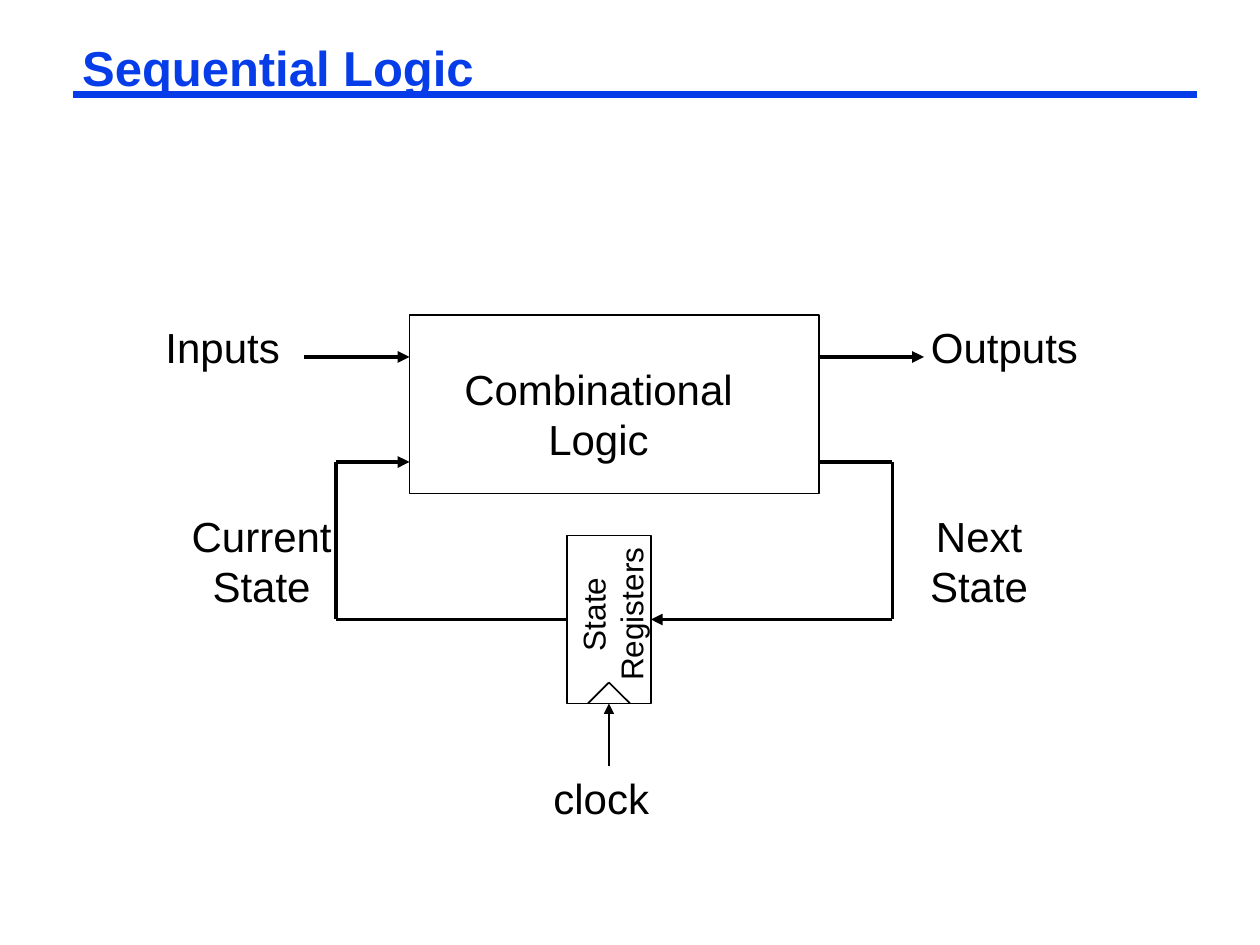
from pptx import Presentation
from pptx import util as u
from pptx.dml.color import RGBColor
from pptx.enum import shapes, text
from pptx.oxml.ns import qn
from lxml import etree

COLOURS = {"title": "063DE8", "ink": "000000"}
THIN, WIRE, RULE = 1, 2.25, 4.5
TOP, LEFT, BOTTOM, RIGHT = range(4)


def colour(name):
    return RGBColor.from_string(COLOURS[name])


def write(shape, lines, size=24, ink="ink", bold=False, wrap=False,
          align=text.PP_ALIGN.CENTER, spacing=None):
    """Put lines of formatted text, one per paragraph, into a shape."""
    frame = shape.text_frame
    frame.text = lines
    frame.word_wrap = wrap
    frame.auto_size = text.MSO_AUTO_SIZE.SHAPE_TO_FIT_TEXT
    frame.vertical_anchor = text.MSO_ANCHOR.TOP
    frame.margin_left = frame.margin_right = u.Pt(5 if wrap else 7.2)
    frame.margin_top = frame.margin_bottom = u.Pt(2.3 if wrap else 3.6)
    for paragraph in frame.paragraphs:
        paragraph.alignment = align
        paragraph.line_spacing = spacing
        font = paragraph.font
        font.name, font.size, font.bold = "Arial", u.Pt(size), bold
        font.color.rgb = colour(ink)


def add_label(slide, lines, left, top, width, height, rotation=0, **style):
    label = slide.shapes.add_textbox(*map(u.Pt, (left, top, width, height)))
    label.rotation = rotation
    write(label, lines, **style)


def add_block(slide, left, top, width, height):
    block = slide.shapes.add_shape(
        shapes.MSO_SHAPE.RECTANGLE, *map(u.Pt, (left, top, width, height)))
    block.shadow.inherit = False
    block.fill.background()
    block.line.color.rgb = colour("ink")
    block.line.width = u.Pt(THIN)
    return block


def add_line(slide, start, end, width=WIRE, ink="ink", arrow=False,
             begin=None, finish=None):
    """Draw a line; begin and finish are optional (shape, side) joints."""
    line = slide.shapes.add_connector(
        shapes.MSO_CONNECTOR.STRAIGHT, *map(u.Pt, start + end))
    if begin:
        line.begin_connect(*begin)
    if finish:
        line.end_connect(*finish)
    line.line.color.rgb = colour(ink)
    line.line.width = u.Pt(width)
    if arrow:
        etree.SubElement(line.line._get_or_add_ln(), qn("a:tailEnd"), type="triangle")
    etree.SubElement(line._element.spPr, qn("a:effectLst"))


def add_title(slide):
    add_line(slide, (42, 54), (684, 54), width=RULE, ink="title")
    title = slide.shapes.title
    title.left, title.top, title.width, title.height = map(u.Pt, (42, 24, 642, 33))
    write(title, "Sequential Logic", size=28, ink="title", bold=True, wrap=True,
          align=text.PP_ALIGN.LEFT, spacing=0.87)


def main():
    presentation = Presentation()
    presentation.slide_width, presentation.slide_height = u.Pt(720), u.Pt(540)
    slide = presentation.slides.add_slide(presentation.slide_layouts[5])
    add_title(slide)

    # Combinational logic with its inputs and outputs
    add_block(slide, 234, 180, 234, 102)
    add_label(slide, "Combinational\nLogic", 257, 204, 170, 65)
    add_line(slide, (174, 204), (234, 204), arrow=True)
    add_line(slide, (468, 204), (528, 204), arrow=True)
    add_label(slide, "Inputs", 86, 180, 82.5, 36)
    add_label(slide, "Outputs", 523.5, 180, 101, 36)

    # State registers
    registers = add_block(slide, 324, 306, 48, 96)
    add_label(slide, "State\nRegisters", 303, 326, 93, 50, rotation=270, size=18)

    # Next state: logic to registers
    add_line(slide, (468, 264), (510, 264))
    add_line(slide, (510, 264), (510, 354))
    add_line(slide, (510, 354), (372, 354), arrow=True, finish=(registers, RIGHT))
    add_label(slide, "Next\nState", 523, 288, 73, 65)

    # Current state: registers back to logic
    add_line(slide, (324, 354), (192, 354), begin=(registers, LEFT))
    add_line(slide, (192, 354), (192, 264))
    add_line(slide, (192, 264), (234, 264), arrow=True)
    add_label(slide, "Current\nState", 101, 288, 97, 65)

    # Clock input and its wedge
    add_line(slide, (348, 438), (348, 402), width=THIN, arrow=True,
             finish=(registers, BOTTOM))
    for foot in (336, 360):
        add_line(slide, (348, 390), (foot, 402), width=THIN)
    add_label(slide, "clock", 308, 438, 71, 36)

    presentation.save("out.pptx")


if __name__ == "__main__":
    main()
